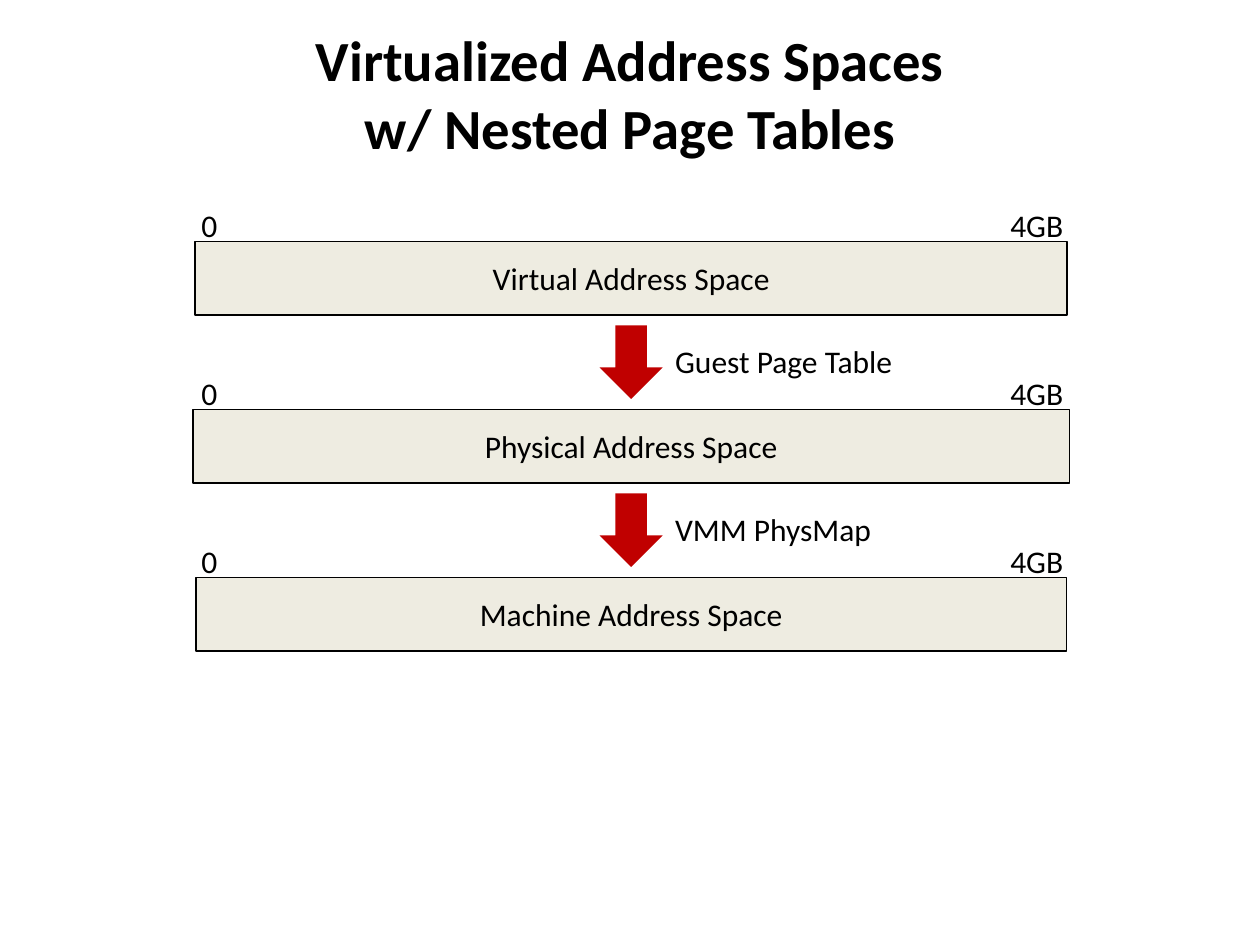
from dataclasses import dataclass

from pptx import Presentation
from pptx.dml.color import RGBColor as RGB
from pptx.enum.shapes import MSO_SHAPE as SHAPE
from pptx.enum.text import MSO_ANCHOR as ANCHOR, MSO_AUTO_SIZE as FIT, PP_ALIGN as ALIGN
from pptx.util import Inches, Pt


@dataclass(frozen=True)
class Theme:
    font: str = "Calibri"
    ink: RGB = RGB(0x00, 0x00, 0x00)
    bar: RGB = RGB(0xEE, 0xEC, 0xE1)
    arrow: RGB = RGB(0xC0, 0x00, 0x00)
    title_pt: float = 32.4
    body_pt: float = 18
    line_pt: float = 1


T = Theme()
W, H = 10, 7.5
ROW = H / 90   # grid row: a bar is 7 rows high, a level 16 rows

# Name, bar width, width of the "0" label, mapping to the next level and its width
LEVELS = [
    ("Virtual Address Space", 6.92, 0.33, "Guest Page Table", 1.95),
    ("Physical Address Space", 6.96, 0.47, "VMM PhysMap", 1.77),
    ("Machine Address Space", 6.91, 0.47, None, None),
]


def set_text(sp, text, size, align=ALIGN.LEFT, bold=False):
    tf = sp.text_frame
    tf.text = text
    p = tf.paragraphs[0]
    p.alignment = align
    for r in p.runs:
        r.font.name, r.font.size, r.font.bold = T.font, Pt(size), bold
        r.font.color.rgb = T.ink
    return tf


def add_block(slide, kind, fill, x, y, w, h):
    sp = slide.shapes.add_shape(kind, *map(Inches, (x, y, w, h)))
    sp.shadow.inherit = False
    sp.fill.solid()
    sp.fill.fore_color.rgb = fill
    sp.line.fill.background()
    return sp


def add_label(slide, text, x, y, w):
    sp = slide.shapes.add_textbox(*map(Inches, (x, y, w, 0.4)))
    tf = set_text(sp, text, T.body_pt)
    tf.word_wrap = False
    tf.auto_size = FIT.SHAPE_TO_FIT_TEXT


def add_title(slide, text, x, y, w, h):
    sp = slide.shapes.add_textbox(*map(Inches, (x, y, w, h)))
    tf = set_text(sp, text, T.title_pt, ALIGN.CENTER, bold=True)
    tf.word_wrap = True
    tf.vertical_anchor = ANCHOR.MIDDLE


def add_space(slide, name, zero_w, x, y, w, h):
    """One address space: a named bar with its range above."""
    bar = add_block(slide, SHAPE.RECTANGLE, T.bar, x, y, w, h)
    bar.line.color.rgb = T.ink
    bar.line.width = Pt(T.line_pt)
    tf = set_text(bar, name, T.body_pt, ALIGN.CENTER)
    tf.vertical_anchor = ANCHOR.MIDDLE
    add_label(slide, "0", 0.15 * W, y - 4 * ROW, zero_w)
    add_label(slide, "4GB", 0.792 * W, y - 4 * ROW, 0.63)


def add_mapping(slide, text, text_w, x, y, w, h):
    """Arrow to the next address space, with the table that maps to it."""
    add_block(slide, SHAPE.DOWN_ARROW, T.arrow, x, y, w, h)
    add_label(slide, text, x + w, y + ROW, text_w)


def add_diagram(slide, center, top):
    bar_h = 7 * ROW
    for i, (name, bar_w, zero_w, mapping, mapping_w) in enumerate(LEVELS):
        y = top + i * 16 * ROW
        add_space(slide, name, zero_w, center - bar_w / 2, y, bar_w, bar_h)
        if mapping:
            add_mapping(slide, mapping, mapping_w,
                        center - 0.25, y + 8 * ROW, 0.5, bar_h)


def main():
    prs = Presentation()
    prs.slide_width, prs.slide_height = Inches(W), Inches(H)
    slide = prs.slides.add_slide(prs.slide_layouts[6])
    add_title(slide, "Virtualized Address Spaces\vw/ Nested Page Tables",
              0.05 * W, 0.04 * H, 0.9 * W, 0.87)
    add_diagram(slide, 0.501 * W, 23 * ROW)
    prs.save("out.pptx")


if __name__ == "__main__":
    main()
